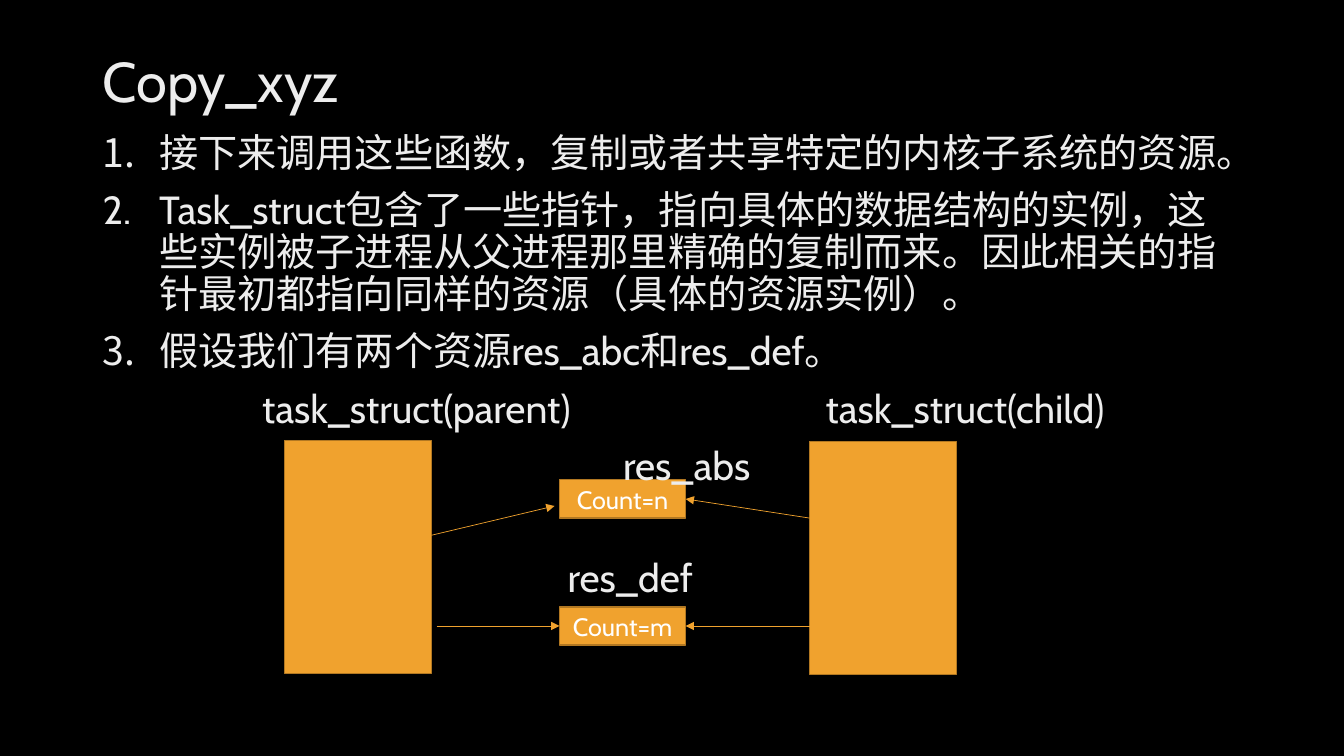
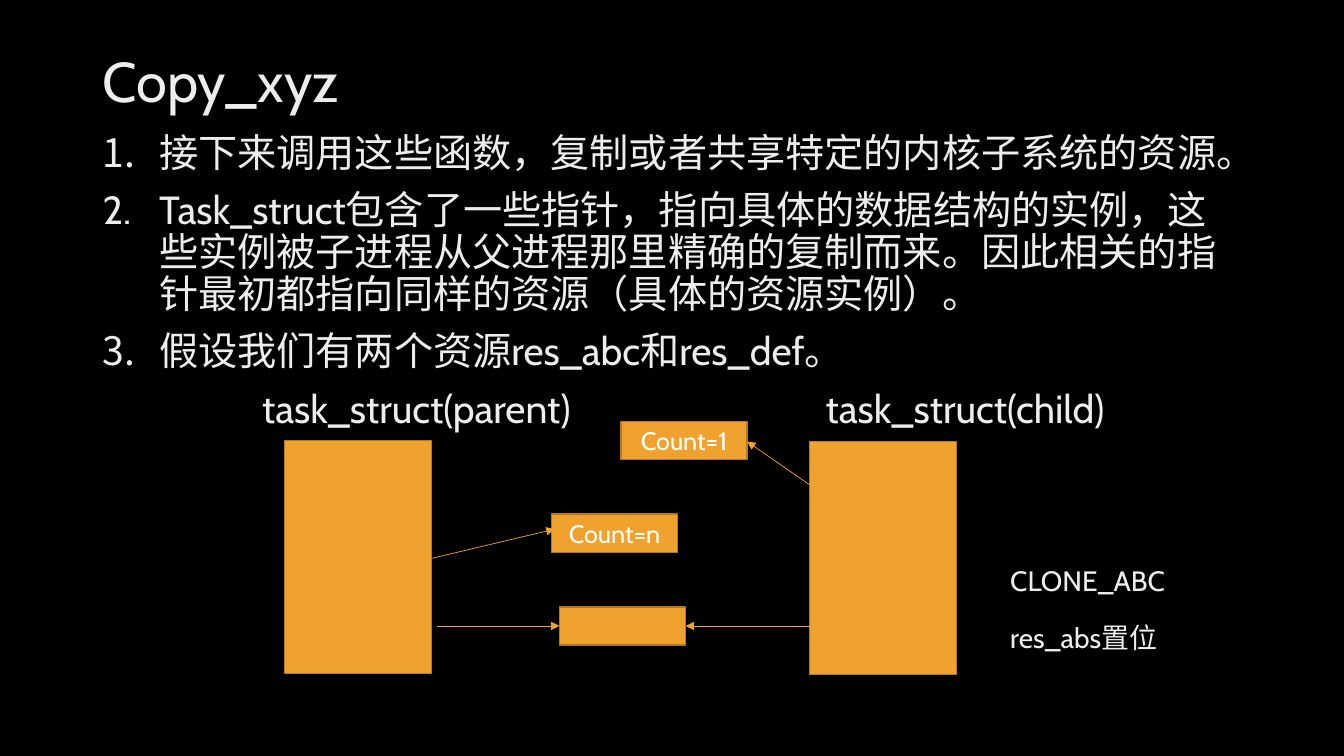
from lxml import etree
from pptx import Presentation
from pptx.dml.color import RGBColor
from pptx.enum.lang import MSO_LANGUAGE_ID as LANG
from pptx.enum.shapes import MSO_CONNECTOR, MSO_SHAPE
from pptx.enum.text import MSO_ANCHOR as ANCHOR, PP_ALIGN as ALIGN
from pptx.oxml.ns import qn
from pptx.util import Inches, Pt

BLACK = RGBColor(0x00, 0x00, 0x00)
WHITE = RGBColor(0xFF, 0xFF, 0xFF)
TEXT = RGBColor(0xED, 0xED, 0xED)
ORANGE = RGBColor(0xF0, 0xA2, 0x2E)
BROWN = RGBColor(0xB2, 0x78, 0x22)
FONT = "Cabin"

MARGIN, CONTENT_W = 0.92, 11.5
TASK_SIZE = (1.46, 2.31)
COUNT_SIZE = (1.25, 0.38)
PARENT_X, CHILD_X = 2.82, 8.03
PARENT_EDGE = PARENT_X + TASK_SIZE[0]
DEF_X, DEF_Y = 5.55, 6.02
DEF_RIGHT = DEF_X + COUNT_SIZE[0]
DEF_ARROW_Y = 6.21

POINTS = [
    "接下来调用这些函数，复制或者共享特定的内核子系统的资源。",
    "Task_struct包含了一些指针，指向具体的数据结构的实例，"
    "这些实例被子进程从父进程那里精确的复制而来。"
    "因此相关的指针最初都指向同样的资源（具体的资源实例）。",
    "假设我们有两个资源res_abc和res_def。",
]


class Deck:
    def __init__(self):
        self.prs = Presentation()
        self.prs.slide_width = Inches(13.33)
        self.prs.slide_height = Inches(7.5)
        self.s = None

    def slide(self, title):
        self.s = self.prs.slides.add_slide(self.prs.slide_layouts[6])
        fill = self.s.background.fill
        fill.solid()
        fill.fore_color.rgb = BLACK
        tf = self.text_frame(MARGIN, 0.4, CONTENT_W, 0.88, ANCHOR.MIDDLE)
        p = tf.paragraphs[0]
        p.line_spacing = 0.9
        self.run(p, title, 40)

    def run(self, p, text, size, color=TEXT):
        r = p.add_run()
        r.text = text
        r.font.name = FONT
        r.font.size = Pt(size)
        r.font.color.rgb = color
        r.font.language_id = LANG.SIMPLIFIED_CHINESE

    def text_frame(self, x, y, w, h, anchor=ANCHOR.TOP):
        sp = self.s.shapes.add_textbox(Inches(x), Inches(y), Inches(w), Inches(h))
        tf = sp.text_frame
        tf.word_wrap = True
        tf.vertical_anchor = anchor
        return tf

    def numbered(self, points):
        tf = self.text_frame(MARGIN, 1.28, CONTENT_W, 2.5)
        for i, point in enumerate(points):
            p = tf.add_paragraph() if i else tf.paragraphs[0]
            pPr = p._p.get_or_add_pPr()
            pPr.set("marL", str(Inches(0.56)))
            pPr.set("indent", str(-Inches(0.56)))
            etree.SubElement(pPr, qn("a:buFont"), typeface="+mj-lt")
            etree.SubElement(pPr, qn("a:buAutoNum"), type="arabicPeriod")
            p.line_spacing = 0.9
            p.space_before = Pt(10 if i else 0)
            self.run(p, point, 28)

    def label(self, text, x, middle, size=28):
        """One line of text starting at x, centred vertically on middle."""
        tf = self.text_frame(x, middle - 0.25, 3.3, 0.5, ANCHOR.MIDDLE)
        tf.margin_left = tf.margin_top = tf.margin_bottom = 0
        self.run(tf.paragraphs[0], text, size)

    def box(self, x, y, size, text=""):
        w, h = size
        sp = self.s.shapes.add_shape(
            MSO_SHAPE.RECTANGLE, Inches(x), Inches(y), Inches(w), Inches(h))
        sp.shadow.inherit = False
        sp.fill.solid()
        sp.fill.fore_color.rgb = ORANGE
        sp.line.color.rgb = BROWN
        sp.line.width = Pt(1)
        if text:
            tf = sp.text_frame
            tf.vertical_anchor = ANCHOR.MIDDLE
            p = tf.paragraphs[0]
            p.alignment = ALIGN.CENTER
            self.run(p, text, 18, WHITE)

    def arrow(self, x1, y1, x2, y2):
        c = self.s.shapes.add_connector(
            MSO_CONNECTOR.STRAIGHT, Inches(x1), Inches(y1), Inches(x2), Inches(y2))
        c.line.color.rgb = ORANGE
        c.line.width = Pt(0.5)
        etree.SubElement(c.line._get_or_add_ln(), qn("a:tailEnd"), type="triangle")
        etree.SubElement(c._element.spPr, qn("a:effectLst"))

    def resource_slide(self, counts, arrows, labels, def_text=""):
        """Numbered points over parent and child tasks sharing resources."""
        self.slide("Copy_xyz")
        self.numbered(POINTS)
        self.box(PARENT_X, 4.37, TASK_SIZE)
        self.box(CHILD_X, 4.38, TASK_SIZE)
        self.box(DEF_X, DEF_Y, COUNT_SIZE, def_text)
        for text, x, y in counts:
            self.box(x, y, COUNT_SIZE, text)
        self.label("task_struct(parent)", 2.6, 4.05)
        self.label("task_struct(child)", 8.19, 4.05)
        for label in labels:
            self.label(*label)
        self.arrow(PARENT_EDGE + 0.05, DEF_ARROW_Y, DEF_X, DEF_ARROW_Y)
        self.arrow(CHILD_X, DEF_ARROW_Y, DEF_RIGHT, DEF_ARROW_Y)
        for ends in arrows:
            self.arrow(*ends)


def main():
    deck = Deck()
    deck.resource_slide(
        counts=[("Count=n", DEF_X, 4.76)],
        arrows=[(PARENT_EDGE, 5.31, 5.5, 5.02), (CHILD_X, 5.14, DEF_RIGHT, 4.95)],
        labels=[("res_abs", 6.18, 4.61), ("res_def", 5.63, 5.72)],
        def_text="Count=m",
    )
    deck.resource_slide(
        counts=[("Count=n", 5.47, 5.1), ("Count=1", 6.16, 4.18)],
        arrows=[(PARENT_EDGE, 5.54, 5.5, 5.25), (CHILD_X, 4.81, 7.41, 4.38)],
        labels=[("CLONE_ABC", 10.02, 5.76, 20), ("res_abs置位", 10.02, 6.32, 20)],
    )
    deck.prs.save("out.pptx")


if __name__ == "__main__":
    main()
